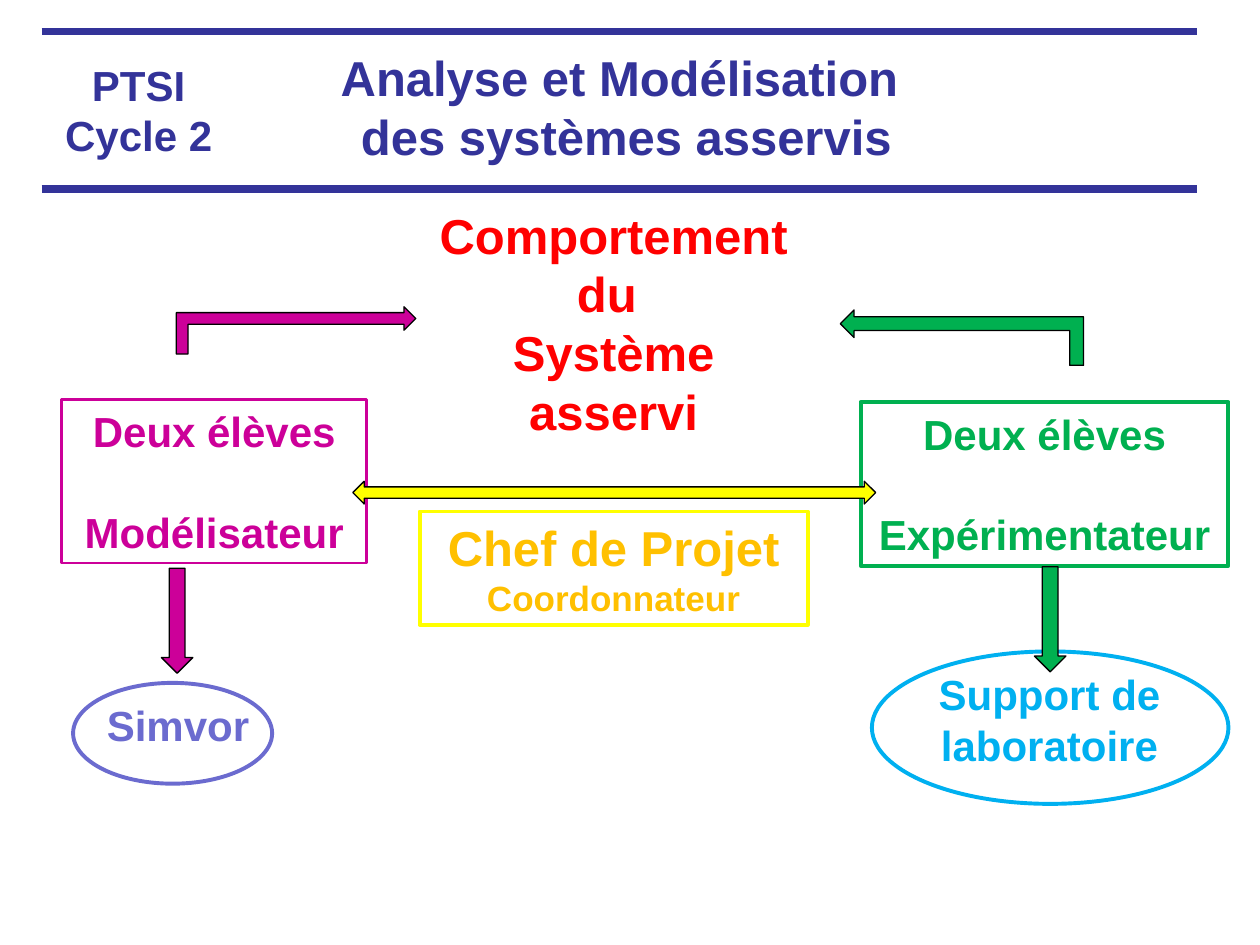
from pptx import Presentation
from pptx.dml.color import RGBColor
from pptx.enum.shapes import MSO_CONNECTOR, MSO_SHAPE
from pptx.enum.text import MSO_ANCHOR, PP_ALIGN
from pptx.oxml.ns import qn
from pptx.util import Pt
from lxml import etree

LINE = MSO_CONNECTOR.STRAIGHT
RECT, OVAL = MSO_SHAPE.RECTANGLE, MSO_SHAPE.OVAL
DOWN, BOTH_WAYS = MSO_SHAPE.DOWN_ARROW, MSO_SHAPE.LEFT_RIGHT_ARROW
CENTER, LEFT = PP_ALIGN.CENTER, PP_ALIGN.LEFT
TOP = MSO_ANCHOR.TOP

NAVY = RGBColor(0x33, 0x33, 0x99)
RED = RGBColor(0xFF, 0x00, 0x00)
MAGENTA = RGBColor(0xCC, 0x00, 0x99)
GREEN = RGBColor(0x00, 0xB0, 0x50)
VIOLET = RGBColor(0x6B, 0x6B, 0xCF)
SKY = RGBColor(0x00, 0xB0, 0xF0)
YELLOW = RGBColor(0xFF, 0xFF, 0x00)
AMBER = RGBColor(0xFF, 0xC0, 0x00)
BLACK = RGBColor(0x00, 0x00, 0x00)
WHITE = RGBColor(0xFF, 0xFF, 0xFF)

LEADING = 1.2
ROLE_GAP = 28.8

# All boxes are (left, top, width, height) in points.
RULES_Y = [108, 18]
RULE_X = (23.76, 684)

# box, lines, format
LABELS = [
    ((27.2, 30.24, 104, 64.8), ["PTSI", "Cycle 2"], dict(color=NAVY)),
    ((174.24, 23.76, 367.2, 74.88),
     ["Analyse et Modélisation \vdes systèmes asservis"], dict(size=28, color=NAVY)),
    ((239.76, 113.76, 221.76, 141.84),
     ["Comportement du ", "Système asservi"], dict(size=28, color=RED)),
    ((54, 396, 108, 36), ["Simvor"], dict(color=VIOLET, align=LEFT)),
    ((491.76, 378.72, 216, 64.8), ["Support de laboratoire"], dict(color=SKY)),
]

# box, fill, outline, outline width, lines, format
ROLES = [
    ((35.28, 228.24, 174.24, 93.6), None, MAGENTA, 1.5,
     ["Deux élèves", "Modélisateur"], dict(color=MAGENTA, gap=ROLE_GAP)),
    ((491.76, 229.68, 210.24, 93.6), None, GREEN, 2.25,
     ["Deux élèves", "Expérimentateur"], dict(color=GREEN, gap=ROLE_GAP)),
    ((239.76, 292.32, 221.76, 64.8), WHITE, YELLOW, 2.25,
     ["Chef de Projet", "Coordonnateur"], dict(color=AMBER, size=28, last_size=20)),
]

TOOLS = [((41.76, 390.24, 113.76, 57.6), VIOLET),
         ((498.24, 372.24, 203.76, 87.12), SKY)]

# tip x, outer x, axis y, foot y, shaft thickness, colour
BENT_ARROWS = [(480.2, 619.2, 185, 208.8, 7.9, GREEN),
               (237.6, 100.8, 182, 202.3, 6.7, MAGENTA)]

# shape, box, colour
ARROWS = [
    (DOWN, (92.2, 324.7, 18, 60), MAGENTA),
    (BOTH_WAYS, (201.6, 275, 298.8, 13), YELLOW),
    (DOWN, (591.1, 323.9, 18, 60), GREEN),
]


def put_text(tf, lines, color, size=24, last_size=None, align=CENTER, gap=0):
    """Write one paragraph per line; gap is the space between paragraphs."""
    tf.word_wrap = True
    tf.vertical_anchor = TOP
    for i, text in enumerate(lines):
        p = tf.paragraphs[0] if i == 0 else tf.add_paragraph()
        pt = last_size if last_size and i == len(lines) - 1 else size
        p.text = text
        p.alignment = align
        p.line_spacing = Pt(pt * LEADING)
        p.space_before = Pt(gap if i else 0)
        for r in p.runs:
            r.font.name = "Arial"
            r.font.size = Pt(pt)
            r.font.bold = True
            r.font.color.rgb = color


def style(sp, fill, outline, width):
    sp.shadow.inherit = False
    if fill is None:
        sp.fill.background()
    else:
        sp.fill.solid()
        sp.fill.fore_color.rgb = fill
    sp.line.color.rgb = outline
    sp.line.width = Pt(width)


def add_shape(s, kind, box, fill, outline, width):
    sp = s.shapes.add_shape(kind, *map(Pt, box))
    style(sp, fill, outline, width)
    return sp


def add_rule(s, y):
    rule = s.shapes.add_connector(LINE, Pt(RULE_X[0]), Pt(y), Pt(RULE_X[1]), Pt(y))
    rule.line.color.rgb = NAVY
    rule.line.width = Pt(4.5)
    etree.SubElement(rule._element.spPr, qn("a:effectLst"))


def add_bent_arrow(s, tip, outer, axis, foot, t, color):
    """Draw a horizontal arrow whose tail turns down to foot."""
    step = t if outer > tip else -t
    neck, inner = tip + step, outer - step
    top, bottom = axis - t / 2, axis + t / 2
    points = [(inner, foot), (inner, bottom), (neck, bottom), (neck, axis + t),
              (tip, axis), (neck, axis - t), (neck, top), (outer, top), (outer, foot)]
    points = [(Pt(x), Pt(y)) for x, y in points]
    fb = s.shapes.build_freeform(*points[0])
    fb.add_line_segments(points[1:], close=True)
    style(fb.convert_to_shape(), color, BLACK, 0.75)


def main():
    prs = Presentation()
    prs.slide_width, prs.slide_height = Pt(720), Pt(540)
    s = prs.slides.add_slide(prs.slide_layouts[6])

    for y in RULES_Y:
        add_rule(s, y)
    for box, lines, fmt in LABELS:
        put_text(s.shapes.add_textbox(*map(Pt, box)).text_frame, lines, **fmt)
    for box, fill, outline, width, lines, fmt in ROLES:
        sp = add_shape(s, RECT, box, fill, outline, width)
        put_text(sp.text_frame, lines, **fmt)
    for box, outline in TOOLS:
        add_shape(s, OVAL, box, None, outline, 2.25)
    for arrow in BENT_ARROWS:
        add_bent_arrow(s, *arrow)
    for kind, box, color in ARROWS:
        add_shape(s, kind, box, color, BLACK, 0.75)

    prs.save("out.pptx")


if __name__ == "__main__":
    main()
